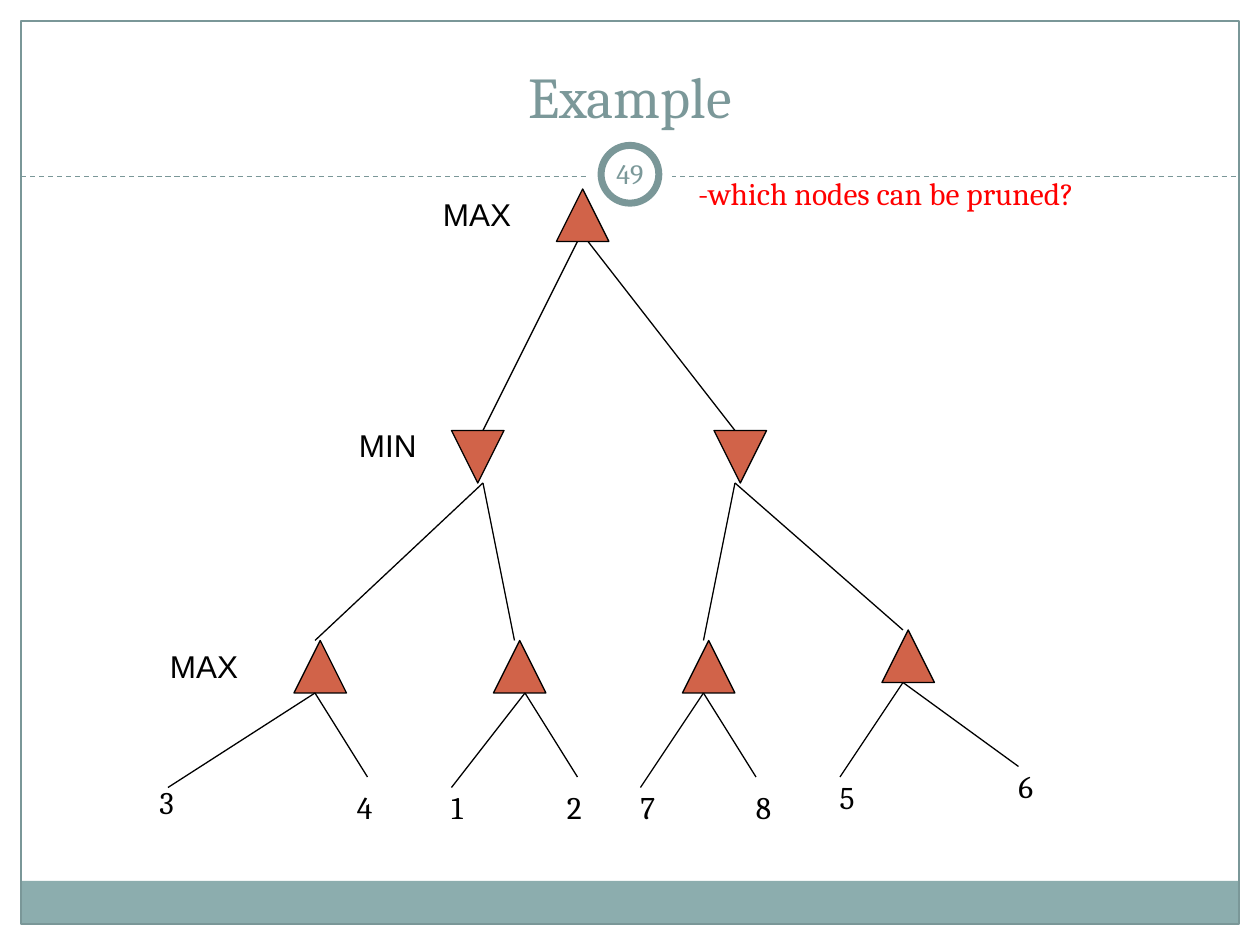
"""Builds a game tree slide asking which nodes can be pruned."""
from dataclasses import dataclass

from lxml import etree
from pptx import Presentation
from pptx.dml.color import RGBColor
from pptx.enum.dml import MSO_LINE
from pptx.enum.shapes import MSO_CONNECTOR, MSO_SHAPE
from pptx.enum.text import MSO_ANCHOR, PP_ALIGN
from pptx.oxml.ns import qn
from pptx.util import Inches, Pt

RECT, OVAL = MSO_SHAPE.RECTANGLE, MSO_SHAPE.OVAL
TRIANGLE = MSO_SHAPE.ISOSCELES_TRIANGLE
STRAIGHT, DASH = MSO_CONNECTOR.STRAIGHT, MSO_LINE.DASH
TOP, MIDDLE, BOTTOM = MSO_ANCHOR.TOP, MSO_ANCHOR.MIDDLE, MSO_ANCHOR.BOTTOM
LEFT, CENTER = PP_ALIGN.LEFT, PP_ALIGN.CENTER


@dataclass(frozen=True)
class Theme:
    white: str = "FFFFFF"
    ink: str = "000000"
    frame: str = "7A9798"
    band: str = "8CADAE"
    heading: str = "7B9899"
    node: str = "D16349"
    question: str = "FF0000"
    serif: str = "Cambria"
    sans: str = "Arial"
    title_size: float = 33
    body_size: float = 18
    number_size: float = 16
    thin: float = 0.75
    ring: float = 4


class TreeSlide:
    """Draws on one slide with a grid of 120 columns by 90 rows."""

    COLS, ROWS, NODE = 120, 90, 5

    def __init__(self, prs, theme):
        self.theme = theme
        self.s = prs.slides.add_slide(prs.slide_layouts[6])
        self.col = prs.slide_width / self.COLS
        self.row = prs.slide_height / self.ROWS

    def place(self, x, y):
        return round(x * self.col), round(y * self.row)

    def shape(self, kind, x, y, w, h, fill=None, line=None, width=None):
        sp = self.s.shapes.add_shape(kind, *self.place(x, y), *self.place(w, h))
        sp.shadow.inherit = False
        if fill:
            sp.fill.solid()
            sp.fill.fore_color.rgb = RGBColor.from_string(fill)
        else:
            sp.fill.background()
        if line:
            sp.line.color.rgb = RGBColor.from_string(line)
            sp.line.width = Pt(width or self.theme.thin)
        else:
            sp.line.fill.background()
        return sp

    def node(self, x, y, down=False):
        sp = self.shape(TRIANGLE, x, y, self.NODE, self.NODE, self.theme.node, self.theme.ink)
        sp.rotation = 180 if down else 0

    def line(self, start, end, color=None, dash=None):
        cx = self.s.shapes.add_connector(STRAIGHT, *self.place(*start), *self.place(*end))
        cx.line.color.rgb = RGBColor.from_string(color or self.theme.ink)
        cx.line.width = Pt(self.theme.thin)
        if dash:
            cx.line.dash_style = dash
        etree.SubElement(cx._element.spPr, qn("a:effectLst"))

    def text(self, words, x, y, w, h, size=None, color=None, font=None,
             align=LEFT, anchor=TOP, inset=0.1):
        tf = self.s.shapes.add_textbox(*self.place(x, y), *self.place(w, h)).text_frame
        tf.word_wrap = True
        tf.vertical_anchor = anchor
        tf.margin_left = tf.margin_right = Inches(inset)
        tf.text = words
        p = tf.paragraphs[0]
        p.alignment = align
        r = p.runs[0]
        r.font.size = Pt(size or self.theme.body_size)
        r.font.name = font or self.theme.serif
        r.font.color.rgb = RGBColor.from_string(color or self.theme.ink)


UP_NODES = [(28, 61), (47, 61), (65, 61), (84, 60), (53, 18)]
DOWN_NODES = [(43, 41), (68, 41)]
BRANCHES = [
    ((55, 23), [(46, 41)]),
    ((56, 23), [(70, 41)]),
    ((46, 46), [(30, 61), (49, 61)]),
    ((70, 46), [(67, 61), (86, 60)]),
    ((30, 66), [(16, 75), (35, 74)]),
    ((50, 66), [(43, 75), (55, 74)]),
    ((67, 66), [(61, 75), (72, 74)]),
    ((86, 65), [(80, 74), (97, 73)]),
]
LEAVES = [("3", 14, 74), ("4", 32.8, 74.5), ("1", 41.8, 74.5), ("2", 52.8, 74.5),
          ("7", 59.8, 74.5), ("8", 70.8, 74.5), ("5", 78.8, 73.5), ("6", 95.8, 72.5)]
LEVELS = [("MAX", 41, 18), ("MIN", 33, 40), ("MAX", 15, 61)]


def main():
    prs = Presentation()
    prs.slide_width, prs.slide_height = Inches(10), Inches(7.5)
    t = Theme()
    tree = TreeSlide(prs, t)

    tree.shape(RECT, 2, 83.9, 116, 4.1, t.band)
    tree.shape(RECT, 2, 2, 116, 86, line=t.frame)
    tree.line((2, 16.8), (118, 16.8), t.frame, DASH)
    tree.shape(OVAL, 56, 12.6, 8, 8, t.white)
    tree.shape(OVAL, 57.25, 13.85, 5.5, 5.5, t.white, t.frame, t.ring)
    tree.text("Example", 4, 3, 112, 10, t.title_size, t.heading, align=CENTER, anchor=BOTTOM)

    for x, y in UP_NODES:
        tree.node(x, y)
    for x, y in DOWN_NODES:
        tree.node(x, y, down=True)
    for start, ends in BRANCHES:
        for end in ends:
            tree.line(start, end)
    for value, x, y in LEAVES:
        tree.text(value, x, y, 4.1, 4.8)
    tree.text("-which nodes can be pruned?", 65.3, 16, 41.8, 8.4, color=t.question)
    for name, x, y in LEVELS:
        tree.text(name, x, y, 10.5, 5, font=t.sans)
    tree.text("49", 57, 13.6, 6, 5.8, t.number_size, t.heading,
              align=CENTER, anchor=MIDDLE, inset=0.05)

    prs.save("out.pptx")


if __name__ == "__main__":
    main()
